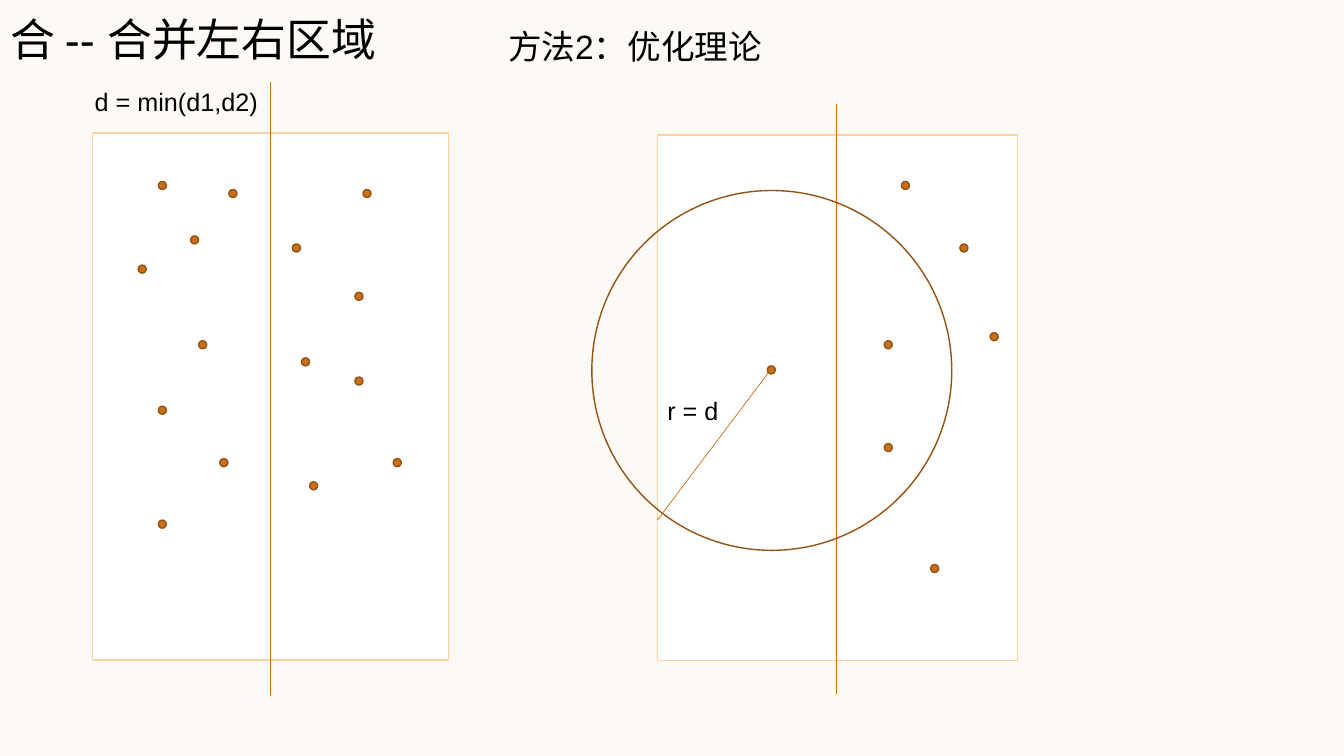
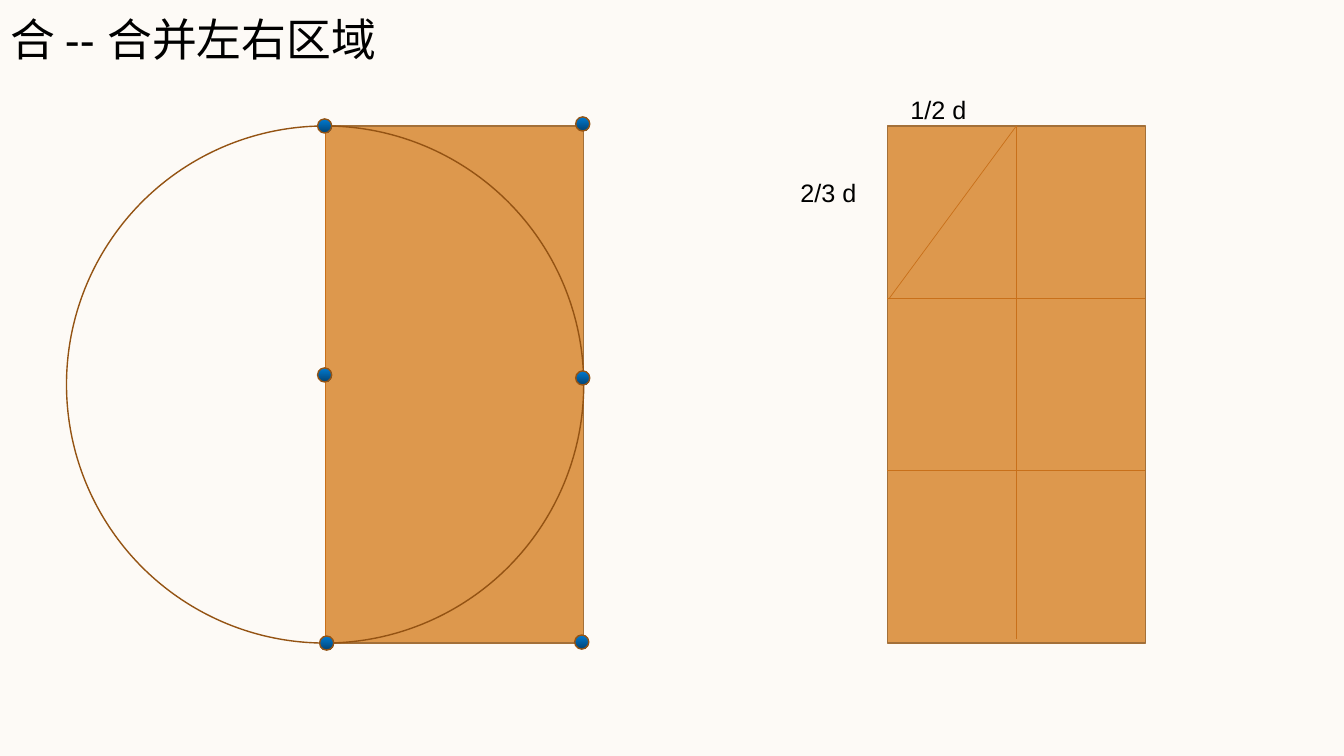
from dataclasses import dataclass

import lxml.etree
import pptx
import pptx.dml.color
import pptx.enum.shapes
import pptx.enum.text
import pptx.oxml.ns
import pptx.util

SHAPES = pptx.enum.shapes.MSO_SHAPE


# Shared look
@dataclass(frozen=True)
class Theme:
    background: str = "FDFAF6"
    ink: str = "000000"
    white: str = "FFFFFF"
    region_edge: str = "FCD39A"
    block: str = "DD984D"
    block_edge: str = "A37039"
    accent: str = "C8701A"
    outline: str = "945313"
    corner_top: str = "007BD3"
    corner_bottom: str = "034373"
    font: str = "Arial"
    title_size: int = 32
    heading_size: int = 24
    label_size: int = 18
    outline_width: float = 1
    hairline_width: float = 0.5


THEME = Theme()
TITLE = "合 -- 合并左右区域"
TITLE_BOX = (0, 7, 385, 64)
POINT, CORNER = 8, 14  # diameters of the markers

# Centres of the points on the first slide
POINTS_LEFT = [(161, 184), (141, 267), (231, 192), (193, 238), (201, 342),
               (161, 407), (222, 459), (161, 520)]
POINTS_RIGHT = [(294, 246), (356, 294), (364, 192), (303, 359), (394, 459),
                (311, 482), (356, 378)]
POINTS_OPPOSITE = [(898, 184), (956, 246), (927, 564), (881, 342), (986, 334),
                   (881, 444)]
# Centres of the corner markers on the second slide
CORNERS = [(322, 125), (322, 372), (324, 638), (578, 123), (578, 375), (577, 637)]


# Helpers
def px(length):
    """One px is a hundredth of an inch."""
    return pptx.util.Emu(length * 9144)


def rgb(code):
    return pptx.dml.color.RGBColor.from_string(code)


def set_all(target, values):
    for name, value in values.items():
        setattr(target, name, value)


def write(frame, text, size):
    set_all(frame, {
        "text": text,
        "word_wrap": True,
        "auto_size": pptx.enum.text.MSO_AUTO_SIZE.NONE,
        "vertical_anchor": pptx.enum.text.MSO_ANCHOR.TOP,
    })
    paragraph = frame.paragraphs[0]
    paragraph.alignment = pptx.enum.text.PP_ALIGN.LEFT
    set_all(paragraph.font, {"name": THEME.font, "size": pptx.util.Pt(size)})
    paragraph.font.color.rgb = rgb(THEME.ink)


def add_label(slide, text, box, size=THEME.label_size):
    write(slide.shapes.add_textbox(*map(px, box)).text_frame, text, size)


def set_line(line, color, width):
    line.color.rgb = rgb(color)
    line.width = pptx.util.Pt(width)


def add_figure(slide, preset, box, edge, fill=None):
    """A preset shape; fill is None, one colour, or a (top, bottom) pair."""
    figure = slide.shapes.add_shape(preset, *map(px, box))
    figure.shadow.inherit = False
    set_line(figure.line, edge, THEME.outline_width)
    if fill is None:
        figure.fill.background()
    elif isinstance(fill, tuple):
        figure.fill.gradient()
        figure.fill.gradient_angle = 270
        for stop, color in zip(figure.fill.gradient_stops, fill):
            stop.color.rgb = rgb(color)
    else:
        figure.fill.solid()
        figure.fill.fore_color.rgb = rgb(fill)


def add_circle(slide, centre, diameter, fill=None):
    x, y = centre
    box = (x - diameter // 2, y - diameter // 2, diameter, diameter)
    add_figure(slide, SHAPES.OVAL, box, THEME.outline, fill)


def add_points(slide, centres, diameter=POINT, fill=THEME.accent):
    for centre in centres:
        add_circle(slide, centre, diameter, fill)


def add_hairline(slide, start, end):
    hairline = slide.shapes.add_connector(
        pptx.enum.shapes.MSO_CONNECTOR.STRAIGHT, *map(px, (*start, *end)))
    set_line(hairline.line, THEME.accent, THEME.hairline_width)
    lxml.etree.SubElement(hairline._element.spPr, pptx.oxml.ns.qn("a:effectLst"))


def add_titled_slide(deck):
    slide = deck.slides.add_slide(deck.slide_layouts.get_by_name("Title Only"))
    title = slide.shapes.title
    set_all(title, dict(zip(("left", "top", "width", "height"), map(px, TITLE_BOX))))
    write(title.text_frame, TITLE, THEME.title_size)
    return slide


# Slides
def build_regions(deck):
    slide = add_titled_slide(deck)

    # All points, split by the dividing line
    add_figure(slide, SHAPES.RECTANGLE, (92, 132, 353, 523),
               THEME.region_edge, THEME.white)
    add_hairline(slide, (268, 81), (268, 690))
    add_points(slide, POINTS_LEFT + POINTS_RIGHT)
    add_label(slide, "d = min(d1,d2)", (84, 81, 185, 40))
    add_label(slide, "方法2：优化理论", (494, 21, 745, 50), THEME.heading_size)

    # One point and its circle of radius d
    query = (765, 367)
    add_figure(slide, SHAPES.RECTANGLE, (652, 134, 357, 521),
               THEME.region_edge, THEME.white)
    add_hairline(slide, (830, 103), (830, 689))
    add_points(slide, [query])
    add_circle(slide, query, 357)
    add_points(slide, POINTS_OPPOSITE)
    add_hairline(slide, (762, 370), (652, 516))
    add_label(slide, "r = d", (652, 387, 185, 40))


def build_blocks(deck):
    slide = add_titled_slide(deck)
    top, width, height = 125, 256, 513
    bottom = top + height

    # Half circle inside a d by 2d block
    left = 323
    add_figure(slide, SHAPES.RECTANGLE, (left, top, width, height),
               THEME.block_edge, THEME.block)
    add_circle(slide, (left - 1, top + height // 2), height)
    add_hairline(slide, (left, top), (left, bottom))
    add_points(slide, CORNERS, CORNER, (THEME.corner_top, THEME.corner_bottom))

    # The same block in two columns and three rows
    left, rows = 880, 3
    right, middle, row_height = left + width, left + width // 2, height // rows
    add_figure(slide, SHAPES.RECTANGLE, (left, top, width, height),
               THEME.block_edge, THEME.block)
    for row in range(1, rows):
        y = top + row * row_height
        add_hairline(slide, (left, y), (right, y))
    add_hairline(slide, (middle, top), (middle, bottom - 4))
    add_hairline(slide, (middle, top), (left + 2, top + row_height))
    add_label(slide, "2/3 d", (784, 171, 98, 40))
    add_label(slide, "1/2 d", (893, 89, 98, 40))


def main():
    deck = pptx.Presentation()
    set_all(deck, {"slide_width": px(1333), "slide_height": px(750)})
    backdrop = deck.slide_master.background.fill
    backdrop.solid()
    backdrop.fore_color.rgb = rgb(THEME.background)
    build_regions(deck)
    build_blocks(deck)
    deck.save("out.pptx")


if __name__ == "__main__":
    main()
